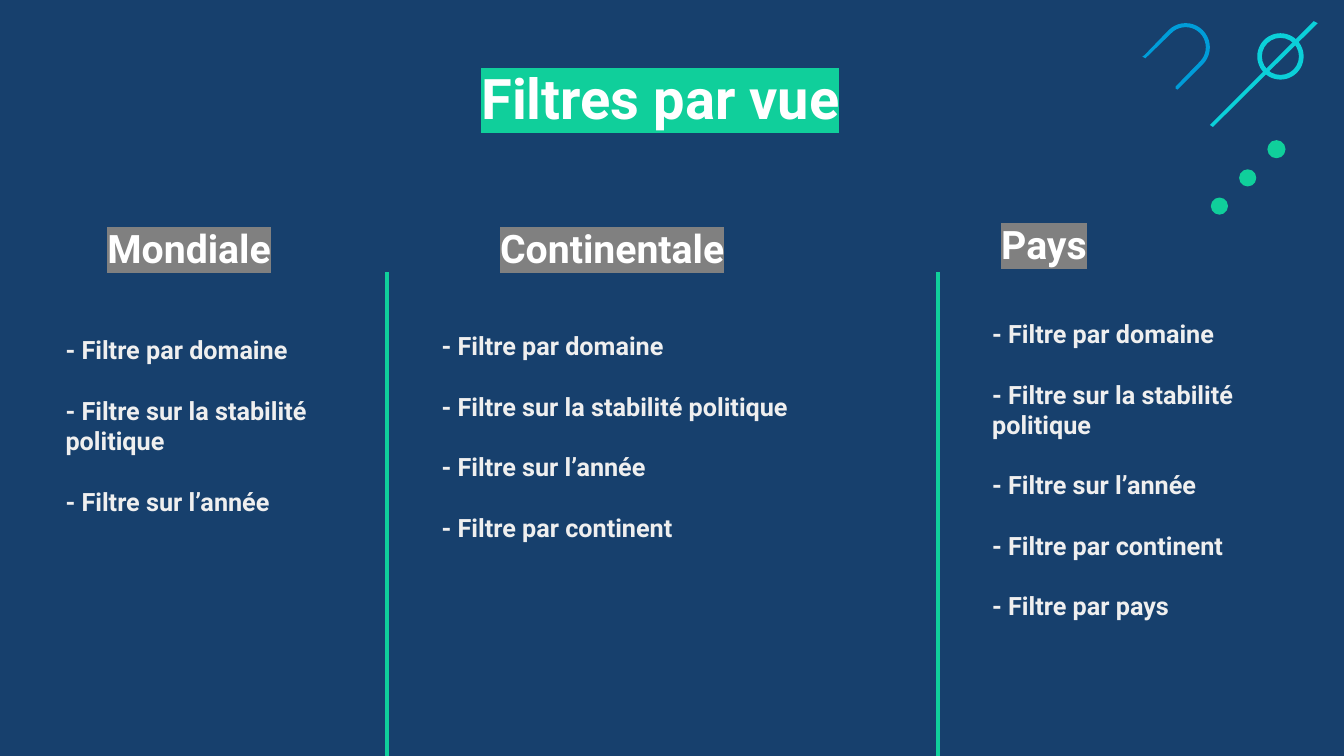
import math
from dataclasses import dataclass

import lxml.etree
import pptx
import pptx.dml.color
import pptx.enum.shapes
import pptx.enum.text
import pptx.oxml.ns
import pptx.util

EMU_PER_PX = 9144
FONT = "Roboto"
INSET = 13
LINE_GAP = 21.6
COLORS = {
    "navy": "17406D",
    "green": "10CF9B",
    "blue": "009DD9",
    "cyan": "0BD0D9",
    "gray": "808080",
    "white": "FFFFFF",
    "pale": "EFEFEF",
}
ANCHOR = pptx.enum.text.MSO_ANCHOR
ALIGN = pptx.enum.text.PP_ALIGN
SHAPE = pptx.enum.shapes.MSO_SHAPE


@dataclass(frozen=True)
class Area:
    left: int
    top: int
    width: int
    height: int


@dataclass(frozen=True)
class Heading:
    text: str
    area: Area
    size: int = 28
    highlight: str = "gray"
    align: ALIGN = ALIGN.LEFT
    anchor: ANCHOR = ANCHOR.MIDDLE
    spacing: float = 1.15
    top_inset: int = INSET


@dataclass(frozen=True)
class FilterList:
    area: Area
    top_inset: int
    count: int


@dataclass(frozen=True)
class Round:
    area: Area
    color: str
    kind: SHAPE = SHAPE.OVAL


FILTERS = [
    "- Filtre par domaine",
    "- Filtre sur la stabilité politique",
    "- Filtre sur l’année",
    "- Filtre par continent",
    "- Filtre par pays",
]
HEADINGS = [
    Heading("Filtres par vue", Area(92, 47, 1126, 58), 40, "green",
            ALIGN.CENTER, ANCHOR.TOP, 1.0, 16),
    Heading("Mondiale", Area(37, 222, 301, 40), align=ALIGN.CENTER),
    Heading("Continentale", Area(483, 222, 368, 40)),
    Heading("Pays", Area(980, 218, 341, 40)),
]
LISTS = [
    FilterList(Area(52, 262, 311, 413), 70, 3),
    FilterList(Area(425, 258, 380, 413), 70, 4),
    FilterList(Area(971, 291, 311, 413), 25, 5),
]
ROUNDS = [
    Round(Area(1257, 139, 18, 18), "green"),
    Round(Area(1229, 168, 17, 17), "green"),
    Round(Area(1201, 196, 17, 17), "green"),
    Round(Area(1247, 33, 46, 46), "cyan", SHAPE.DONUT),
]
DIVIDERS = [384, 930]
SLASH = [(1303, 21), (1200, 124), (1203, 126), (1307, 23)]


def px(value: float) -> int:
    return round(value * EMU_PER_PX)


def rgb(name: str) -> pptx.dml.color.RGBColor:
    return pptx.dml.color.RGBColor.from_string(COLORS[name])


def paint(shape, color: str) -> None:
    shape.shadow.inherit = False
    shape.fill.solid()
    shape.fill.fore_color.rgb = rgb(color)
    shape.line.fill.background()


def add_box(page, area: Area, anchor: ANCHOR, top_inset: int):
    box = page.shapes.add_textbox(
        px(area.left), px(area.top), px(area.width), px(area.height))
    frame = box.text_frame
    frame.word_wrap = True
    frame.vertical_anchor = anchor
    frame.margin_left = frame.margin_right = frame.margin_bottom = px(INSET)
    frame.margin_top = px(top_inset)
    return frame


def add_span(para, text: str, size: int, color: str):
    span = para.add_run()
    span.text = text
    span.font.size = pptx.util.Pt(size)
    span.font.bold = True
    span.font.color.rgb = rgb(color)
    span.font.name = FONT
    return span


def add_highlight(span, color: str) -> None:
    qn = pptx.oxml.ns.qn
    highlight = lxml.etree.Element(qn("a:highlight"))
    lxml.etree.SubElement(highlight, qn("a:srgbClr"), val=COLORS[color])
    span.font._element.find(qn("a:solidFill")).addnext(highlight)


def add_heading(page, heading: Heading) -> None:
    frame = add_box(page, heading.area, heading.anchor, heading.top_inset)
    para = frame.paragraphs[0]
    para.alignment = heading.align
    para.line_spacing = heading.spacing
    span = add_span(para, heading.text, heading.size, "white")
    add_highlight(span, heading.highlight)


def add_list(page, filters: FilterList) -> None:
    frame = add_box(page, filters.area, ANCHOR.TOP, filters.top_inset)
    for index, text in enumerate(FILTERS[:filters.count]):
        para = frame.add_paragraph() if index else frame.paragraphs[0]
        para.space_after = pptx.util.Pt(LINE_GAP)
        add_span(para, text, 18, "pale")


def add_round(page, item: Round) -> None:
    area = item.area
    shape = page.shapes.add_shape(
        item.kind, px(area.left), px(area.top), px(area.width), px(area.height))
    if item.kind == SHAPE.DONUT:
        shape.adjustments[0] = 0.1
    paint(shape, item.color)


def add_outline(page, points: list[tuple[float, float]], color: str) -> None:
    corners = [(px(x), px(y)) for x, y in points]
    builder = page.shapes.build_freeform(*corners[0])
    builder.add_line_segments(corners[1:], close=True)
    paint(builder.convert_to_shape(), color)


def half_turn(radius: int) -> list[tuple[float, float]]:
    angles = [math.radians(degree) for degree in range(-135, 46, 9)]
    return [(1176 + radius * math.cos(angle), 47 + radius * math.sin(angle))
            for angle in angles]


def hook_points() -> list[tuple[float, float]]:
    right_end = [(1169, 88), (1168, 89), (1166, 88), (1166, 86)]
    left_end = [(1137, 57), (1136, 58), (1133, 56), (1135, 55)]
    return half_turn(24) + right_end + half_turn(20)[::-1] + left_end


def add_divider(page, x: int) -> None:
    line = page.shapes.add_connector(
        pptx.enum.shapes.MSO_CONNECTOR.STRAIGHT, px(x), px(270), px(x), px(750))
    line.line.color.rgb = rgb("green")
    line.line.width = pptx.util.Pt(3)
    properties = line._element.spPr
    lxml.etree.SubElement(properties, pptx.oxml.ns.qn("a:effectLst"))


def main() -> None:
    deck = pptx.Presentation()
    deck.slide_width = px(1333)
    deck.slide_height = px(750)
    page = deck.slides.add_slide(deck.slide_layouts[6])
    page.background.fill.solid()
    page.background.fill.fore_color.rgb = rgb("navy")
    add_outline(page, hook_points(), "blue")
    add_outline(page, SLASH, "cyan")
    for item in ROUNDS:
        add_round(page, item)
    for x in DIVIDERS:
        add_divider(page, x)
    for heading in HEADINGS:
        add_heading(page, heading)
    for filters in LISTS:
        add_list(page, filters)
    deck.save("out.pptx")


if __name__ == "__main__":
    main()
